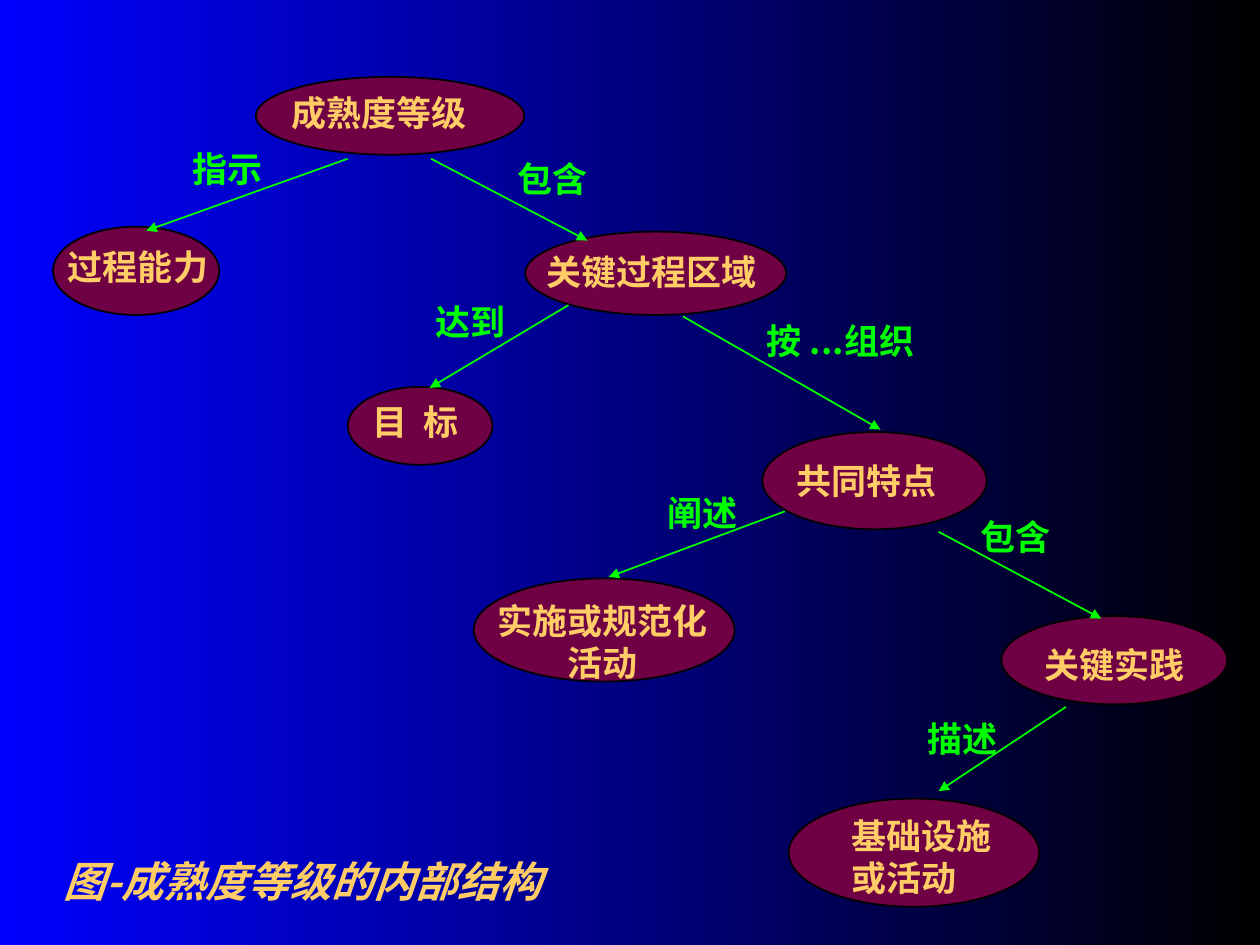
from lxml.etree import SubElement
from pptx import Presentation
from pptx.dml.color import RGBColor
from pptx.enum.shapes import MSO_CONNECTOR, MSO_SHAPE
from pptx.enum.text import MSO_AUTO_SIZE, PP_ALIGN
from pptx.oxml.ns import qn
from pptx.util import Cm, Pt

BLACK = RGBColor(0x00, 0x00, 0x00)
BLUE = RGBColor(0x00, 0x00, 0xFF)
PLUM = RGBColor(0x6E, 0x00, 0x43)
GOLD = RGBColor(0xFF, 0xCC, 0x66)
GREEN = RGBColor(0x00, 0xFF, 0x00)
FONT = "Noto Sans CJK SC"
LINE_W = Pt(1)
ROW_H = 1.09  # height of a one-line text box, in cm

# text, ellipse box, text offset in the box, text width, lines, wrap
NODES = [
    ("成熟度等级", (5.16, 1.55, 5.41, 1.57), (0.46, 0.18), 4.04, 1, False),
    ("过程能力", (1.07, 4.57, 3.35, 1.78), (0.05, 0.25), 3.56, 1, True),
    ("关键过程区域", (10.59, 4.67, 5.26, 1.68), (0.18, 0.25), 4.75, 1, False),
    ("目  标", (7.01, 7.8, 2.92, 1.57), (0.25, 0.15), 3.12, 1, True),
    ("共同特点", (15.37, 8.71, 4.52, 1.96), (0.43, 0.43), 3.33, 1, False),
    ("实施或规范化活动", (9.55, 11.66, 5.26, 2.08), (0.13, 0.3), 4.93, 2, True),
    ("关键实践", (20.19, 12.42, 4.55, 1.78), (0.61, 0.43), 3.96, 1, True),
    ("基础设施或活动", (15.9, 16.1, 5.05, 2.18), (1.02, 0.2), 3.63, 2, True),
]
CENTERED = {"实施或规范化活动"}

# label, arrow start, arrow end, label offset from the start, label width, wrap
ARROWS = [
    ("指示", (7.01, 3.2), (2.95, 4.65), (-3.38, -0.36), 1.93, False),
    ("包含", (8.69, 3.2), (11.84, 4.85), (1.5, -0.15), 1.93, False),
    ("达到", (11.46, 6.15), (8.66, 7.82), (-2.93, -0.21), 1.93, False),
    ("按 ...组织", (13.77, 6.38), (17.75, 8.66), (1.44, -0.06), 4.27, True),
    ("阐述", (15.82, 10.31), (12.27, 11.63), (-2.61, -0.53), 1.93, False),
    ("包含", (18.92, 10.72), (22.2, 12.47), (0.59, -0.46), 1.93, False),
    ("描述", (21.49, 14.25), (18.92, 15.95), (-3.05, 0.08), 1.93, False),
]


def add_text(s, text, box, color, size=20, wrap=True, align=PP_ALIGN.LEFT, italic=False):
    """Place one bold paragraph in a text box."""
    tf = s.shapes.add_textbox(*map(Cm, box)).text_frame
    tf.word_wrap = wrap
    tf.auto_size = MSO_AUTO_SIZE.SHAPE_TO_FIT_TEXT
    p = tf.paragraphs[0]
    p.alignment = align
    r = p.add_run()
    r.text = text
    r.font.name, r.font.size = FONT, Pt(size)
    r.font.bold, r.font.italic = True, italic
    r.font.color.rgb = color
    SubElement(r._r.get_or_add_rPr(), qn("a:ea")).set("typeface", FONT)


def add_node(s, text, box, offset, width, lines, wrap):
    """Draw an ellipse and its text, placed relative to the ellipse's box."""
    sp = s.shapes.add_shape(MSO_SHAPE.OVAL, *map(Cm, box))
    sp.shadow.inherit = False
    sp.fill.solid()
    sp.fill.fore_color.rgb = PLUM
    sp.line.color.rgb = BLACK
    sp.line.width = LINE_W
    align = PP_ALIGN.CENTER if text in CENTERED else PP_ALIGN.LEFT
    height = ROW_H + (lines - 1) * 0.84
    text_box = (box[0] + offset[0], box[1] + offset[1], width, height)
    add_text(s, text, text_box, GOLD, wrap=wrap, align=align)


def add_arrow(s, label, start, end, offset, width, wrap):
    """Draw a labelled arrow, with the label placed relative to its start."""
    cx = s.shapes.add_connector(MSO_CONNECTOR.STRAIGHT, *map(Cm, start + end))
    cx.line.color.rgb = GREEN
    cx.line.width = LINE_W
    SubElement(cx.line._get_or_add_ln(), qn("a:tailEnd")).set("type", "triangle")
    SubElement(cx._element.spPr, qn("a:effectLst"))
    label_box = (start[0] + offset[0], start[1] + offset[1], width, ROW_H)
    add_text(s, label, label_box, GREEN, wrap=wrap)


def set_background(s):
    """Fill the slide from blue at the left to black at the right."""
    fill = s.background.fill
    fill.gradient()
    fill.gradient_angle = 180
    for stop, color in zip(fill.gradient_stops, (BLACK, BLUE)):
        stop.color.rgb = color


def build_structure_slide(prs):
    """Add the slide with the tree of nodes, arrows and caption."""
    s = prs.slides.add_slide(prs.slide_layouts[6])
    set_background(s)
    for node in NODES:
        add_node(s, *node)
    for arrow in ARROWS:
        add_arrow(s, *arrow)
    add_text(s, "图-成熟度等级的内部结构", (1.04, 17.12, 12.29, 1.27), GOLD, size=24, italic=True)


prs = Presentation()
prs.slide_width, prs.slide_height = Cm(25.4), Cm(19.05)
build_structure_slide(prs)
prs.save("out.pptx")
